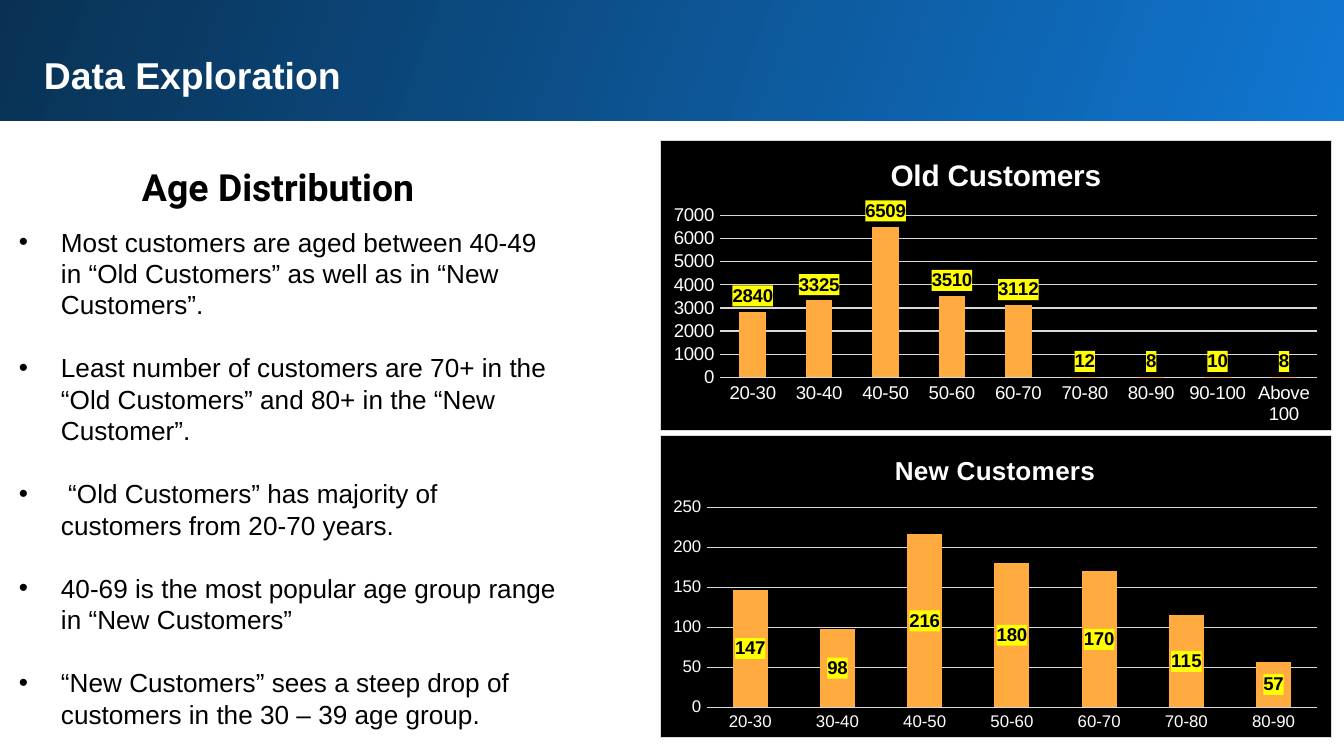
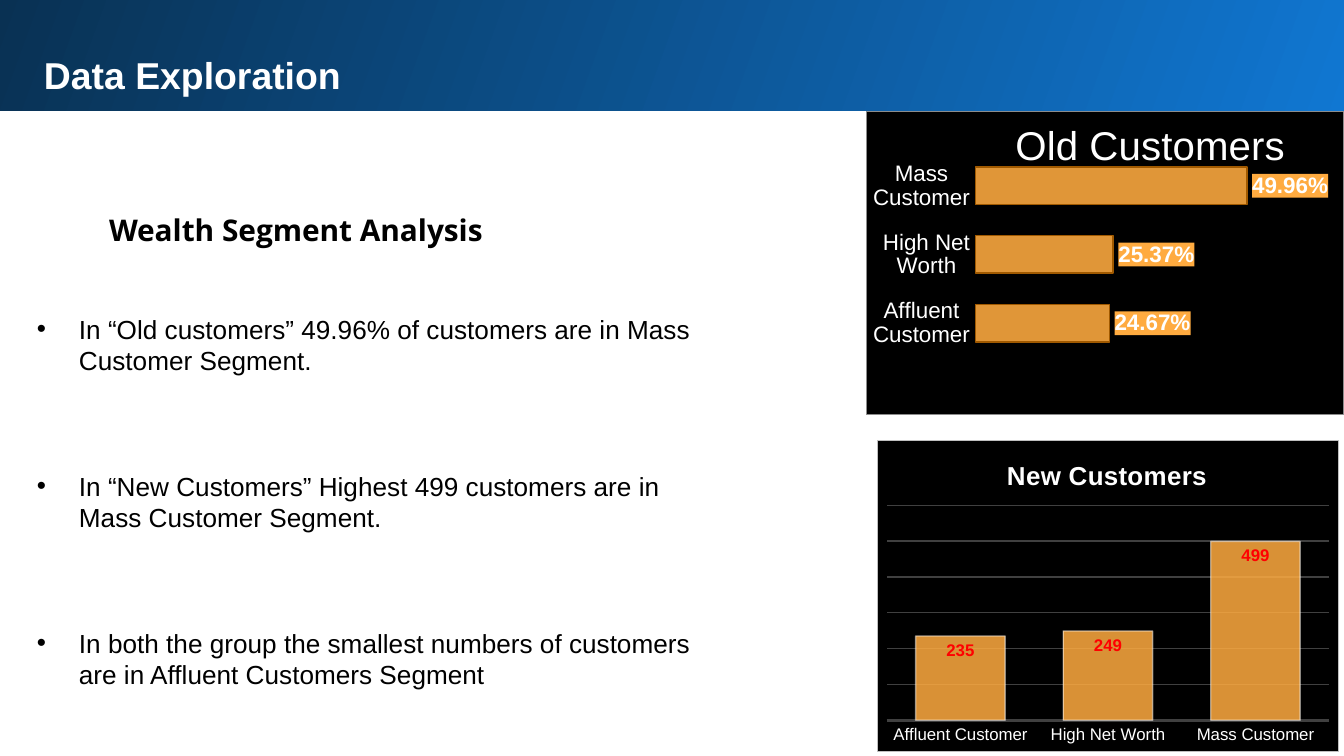
from lxml import etree
from pptx import Presentation
from pptx.chart.data import CategoryChartData
from pptx.dml.color import RGBColor
from pptx.enum.chart import XL_CHART_TYPE, XL_LABEL_POSITION, XL_TICK_MARK
from pptx.enum.shapes import MSO_SHAPE
from pptx.oxml import parse_xml
from pptx.oxml.ns import nsdecls, qn
from pptx.util import Pt

SCALE = 914400 / 134.4
COLUMNS = XL_CHART_TYPE.COLUMN_CLUSTERED
STACKED = XL_CHART_TYPE.COLUMN_STACKED
BARS = XL_CHART_TYPE.BAR_CLUSTERED
OUTSIDE = XL_LABEL_POSITION.OUTSIDE_END
INSIDE = XL_LABEL_POSITION.INSIDE_END
CENTER = XL_LABEL_POSITION.CENTER
NO_TICK = XL_TICK_MARK.NONE
RECTANGLE = MSO_SHAPE.RECTANGLE

COLORS = {
    "white": "FFFFFF",
    "black": "000000",
    "band_light": "1077D2",
    "band_dark": "093153",
    "orange": "FFAB40",
    "brown": "A05900",
    "yellow": "FFFF00",
    "red": "FF0000",
    "pale_gray": "D9D9D9",
    "silver": "BFBFBF",
    "gray": "8C8C8C",
    "dark_gray": "404040",
}
SEGMENTS = ["Affluent Customer", "High Net Worth", "Mass Customer"]
AGES = [f"{age}-{age + 10}" for age in range(20, 100, 10)]


def px(value):
    return round(value * SCALE)


def rgb(name):
    return RGBColor.from_string(COLORS[name])


def style_font(font, size, color, bold=False, name="Arial"):
    font.name = name
    font.size = Pt(size)
    font.bold = bold
    font.color.rgb = rgb(color)


def style_line(line, color, width):
    line.color.rgb = rgb(color)
    line.width = Pt(width)


def fill_behind(text_properties, fill, border=None, width=0):
    outline = "<a:ln><a:noFill/></a:ln>"
    if border:
        outline = (f'<a:ln w="{Pt(width)}"><a:solidFill>'
                   f'<a:srgbClr val="{COLORS[border]}"/></a:solidFill></a:ln>')
    text_properties.addprevious(parse_xml(
        f'<c:spPr {nsdecls("c", "a")}><a:solidFill>'
        f'<a:srgbClr val="{COLORS[fill]}"/></a:solidFill>{outline}</c:spPr>'))


def set_layout(parent, index, frame, **position):
    left, top, width, height = frame
    for layout in parent.findall(qn("c:layout")):
        parent.remove(layout)
    layout = etree.Element(qn("c:layout"))
    parent.insert(index, layout)
    manual = etree.SubElement(layout, qn("c:manualLayout"))
    values = {"xMode": "edge", "yMode": "edge",
              "x": (position["x"] - left) / width,
              "y": (position["y"] - top) / height}
    if "w" in position:
        etree.SubElement(manual, qn("c:layoutTarget")).set("val", "inner")
        values.update(w=position["w"] / width, h=position["h"] / height)
    for tag, value in values.items():
        etree.SubElement(manual, qn(f"c:{tag}")).set("val", str(value))


class Deck:
    def __init__(self):
        self.presentation = Presentation()
        self.presentation.slide_width = px(1344)
        self.presentation.slide_height = px(756)
        self.slide = None

    def add_slide(self, band_left, band_top):
        layout = self.presentation.slide_layouts[6]
        self.slide = self.presentation.slides.add_slide(layout)
        self.band(band_left, band_top, 1351, 124)
        self.text("Data Exploration", (31, 39, 1259, 73), color="white")

    def band(self, *frame):
        shape = self.slide.shapes.add_shape(RECTANGLE, *map(px, frame))
        shape.shadow.inherit = False
        shape.line.fill.background()
        shape.fill.gradient()
        shape.fill.gradient_angle = 160
        for stop, color in zip(shape.fill.gradient_stops,
                               ("band_light", "band_dark")):
            stop.color.rgb = rgb(color)

    def text_frame(self, frame, margin):
        box = self.slide.shapes.add_textbox(*map(px, frame))
        text_frame = box.text_frame
        text_frame.word_wrap = True
        text_frame.margin_left = text_frame.margin_right = px(margin)
        text_frame.margin_top = text_frame.margin_bottom = px(margin)
        return text_frame

    def text(self, text, frame, size=20, color="black", font="Arial",
             spacing=1.0):
        paragraph = self.text_frame(frame, 13).paragraphs[0]
        paragraph.text = text
        paragraph.line_spacing = spacing
        style_font(paragraph.font, size, color, True, font)

    def bullets(self, items, frame, gap):
        text_frame = self.text_frame(frame, 7)
        for index, item in enumerate(items):
            paragraph = (text_frame.add_paragraph() if index
                         else text_frame.paragraphs[0])
            paragraph.text = item
            if index:
                paragraph.space_before = Pt(gap)
            properties = paragraph._p.get_or_add_pPr()
            properties.set("marL", str(px(42)))
            properties.set("indent", str(-px(42)))
            etree.SubElement(properties, qn("a:buFont")).set("typeface", "Arial")
            etree.SubElement(properties, qn("a:buChar")).set("char", "•")
            style_font(paragraph.font, 14, "black")

    def chart(self, kind, title, frame, categories, values, plot_frame,
              title_at, title_size, axis_size, axis_range, gap, label,
              title_bold=True, border=("pale_gray", 0.75), grid="pale_gray",
              base_line=None, show_values=True, number_format="General",
              outline=None, alphas=()):
        data = CategoryChartData(number_format=number_format)
        data.categories = categories
        data.add_series("Series 1", values)
        chart = self.slide.shapes.add_chart(kind, *map(px, frame), data).chart
        style_font(chart.font, 10, "black")
        space = chart._chartSpace
        fill_behind(space.find(qn("c:txPr")), "black", *border)
        chart.has_legend = False
        chart.has_title = True
        paragraph = chart.chart_title.text_frame.paragraphs[0]
        paragraph.text = title
        style_font(paragraph.font, title_size, "white", title_bold)
        x, y = title_at
        set_layout(space.find(".//" + qn("c:title")), 1, frame, x=x, y=y)
        x, y, w, h = plot_frame
        set_layout(space.find(".//" + qn("c:plotArea")), 0, frame,
                   x=x, y=y, w=w, h=h)
        self.axes(chart, axis_size, axis_range, grid, base_line, show_values)
        plot = chart.plots[0]
        plot.gap_width = gap
        plot.vary_by_categories = False
        if kind == STACKED:
            plot.overlap = 100
        self.series(plot.series[0], outline, alphas)
        self.labels(plot, number_format, *label)

    def axes(self, chart, size, axis_range, grid, base_line, show_values):
        for axis in (chart.category_axis, chart.value_axis):
            axis.major_tick_mark = axis.minor_tick_mark = NO_TICK
            axis.format.line.fill.background()
            style_font(axis.tick_labels.font, size, "white")
        if base_line:
            style_line(chart.category_axis.format.line, base_line, 1.5)
        axis = chart.value_axis
        axis.minimum_scale = 0
        axis.maximum_scale, axis.major_unit = axis_range
        axis.visible = show_values
        axis.has_major_gridlines = grid is not None
        if grid:
            style_line(axis.major_gridlines.format.line, grid, 0.75)

    def series(self, series, outline, alphas):
        series.format.fill.solid()
        series.format.fill.fore_color.rgb = rgb("orange")
        if outline:
            style_line(series.format.line, outline, 0.75)
        colors = series._element.find(qn("c:spPr")).iter(qn("a:srgbClr"))
        for color, alpha in zip(list(colors), alphas):
            etree.SubElement(color, qn("a:alpha")).set("val", str(alpha * 1000))

    def labels(self, plot, number_format, position, size, color, fill=None):
        plot.has_data_labels = True
        labels = plot.data_labels
        labels.show_value = True
        labels.number_format = number_format
        labels.number_format_is_linked = False
        labels.position = position
        style_font(labels.font, size, color, True)
        if fill:
            fill_behind(labels._element.find(qn("c:txPr")), fill)


def age_slide(deck):
    deck.add_slide(-3, -3)
    deck.text("Age Distribution", (129, 144, 347, 75), font="Roboto",
              spacing=1.15)
    deck.chart(COLUMNS, "Old Customers", (660, 140, 672, 291),
               AGES + ["Above 100"],
               [2840, 3325, 6509, 3510, 3112, 12, 8, 10, 8],
               plot_frame=(719, 215, 599, 163), title_at=(885, 150),
               title_size=16, axis_size=10, axis_range=(7000, 1000), gap=150,
               label=(OUTSIDE, 10, "black", "yellow"))
    deck.chart(STACKED, "New Customers", (660, 435, 672, 303), AGES[:7],
               [147, 98, 216, 180, 170, 115, 57],
               plot_frame=(706, 507, 612, 201), title_at=(890, 448),
               title_size=14, axis_size=9, axis_range=(250, 50), gap=150,
               label=(CENTER, 10, "black", "yellow"))
    deck.bullets([
        "Most customers are aged between 40-49 in “Old Customers” as well as "
        "in “New Customers”.",
        "Least number of customers are 70+ in the “Old Customers” and 80+ in "
        "the “New Customer”.",
        " “Old Customers” has majority of customers from 20-70 years.",
        "40-69 is the most popular age group range in “New Customers”",
        "“New Customers” sees a steep drop of customers in the 30 – 39 age "
        "group.",
    ], (12, 219, 554, 552), gap=17)


def wealth_slide(deck):
    deck.add_slide(0, -13)
    deck.text("Wealth Segment Analysis", (96, 193, 993, 66), size=16,
              font="Open Sans", spacing=1.15)
    deck.bullets([
        "In “Old customers” 49.96% of customers are in Mass Customer Segment.",
        "In “New Customers” Highest 499 customers are in Mass Customer "
        "Segment.",
        "In both the group the smallest numbers of customers are in Affluent "
        "Customers Segment",
    ], (30, 306, 677, 394), gap=50.5)
    deck.chart(COLUMNS, "New Customers", (877, 440, 462, 312), SEGMENTS,
               [235, 249, 499],
               plot_frame=(886, 505, 444, 216), title_at=(1002, 453),
               title_size=14, axis_size=9, axis_range=(600, 100), gap=65,
               label=(INSIDE, 9, "red"), border=("silver", 0.75),
               grid="dark_gray", base_line="dark_gray", show_values=False,
               outline="white", alphas=(85, 50))
    deck.chart(BARS, "Old Customers", (866, 111, 478, 304), SEGMENTS,
               [0.2467, 0.2537, 0.4996],
               plot_frame=(975, 151, 327, 207), title_at=(1008, 112),
               title_size=21.6, title_bold=False, axis_size=12,
               axis_range=(0.6, 0.1), gap=84,
               label=(OUTSIDE, 12, "white", "orange"), border=("gray", 0.5),
               grid=None, show_values=False, number_format="0.00%",
               outline="brown", alphas=(88,))


def main():
    deck = Deck()
    age_slide(deck)
    wealth_slide(deck)
    deck.presentation.save("out.pptx")


if __name__ == "__main__":
    main()
